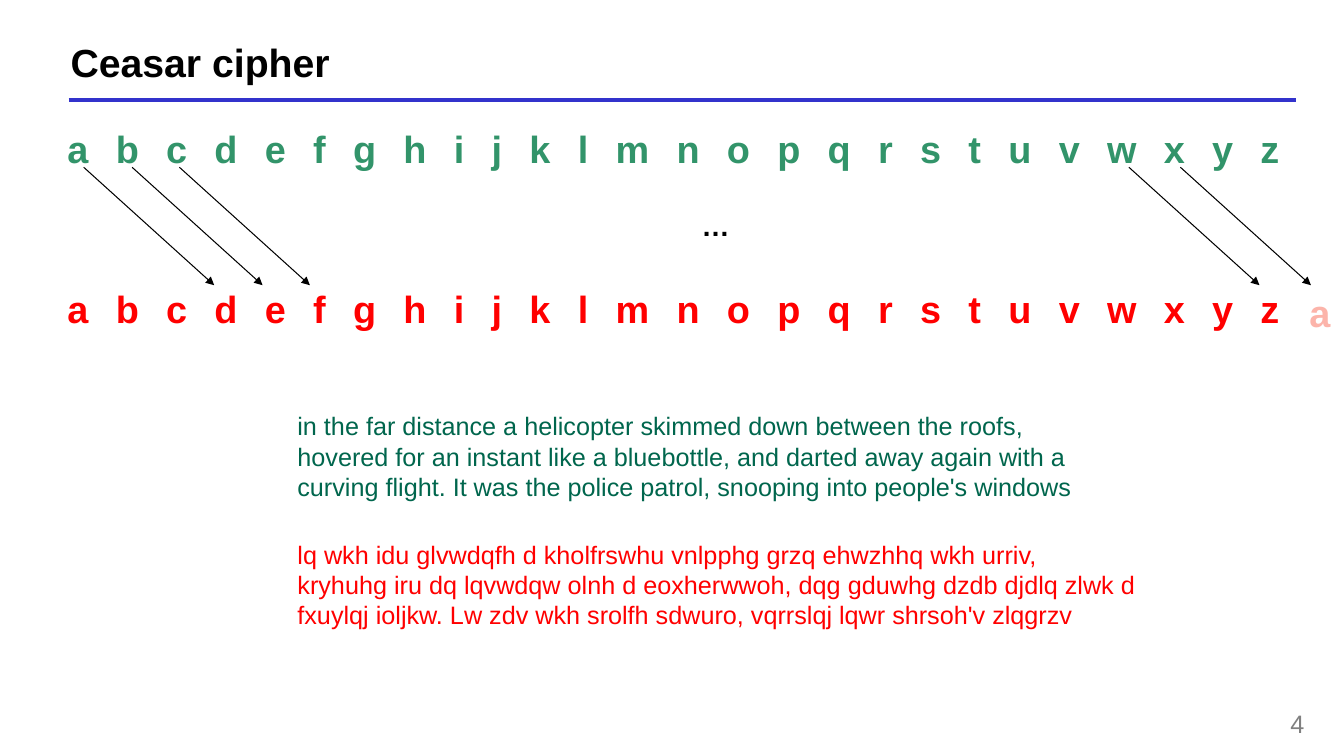
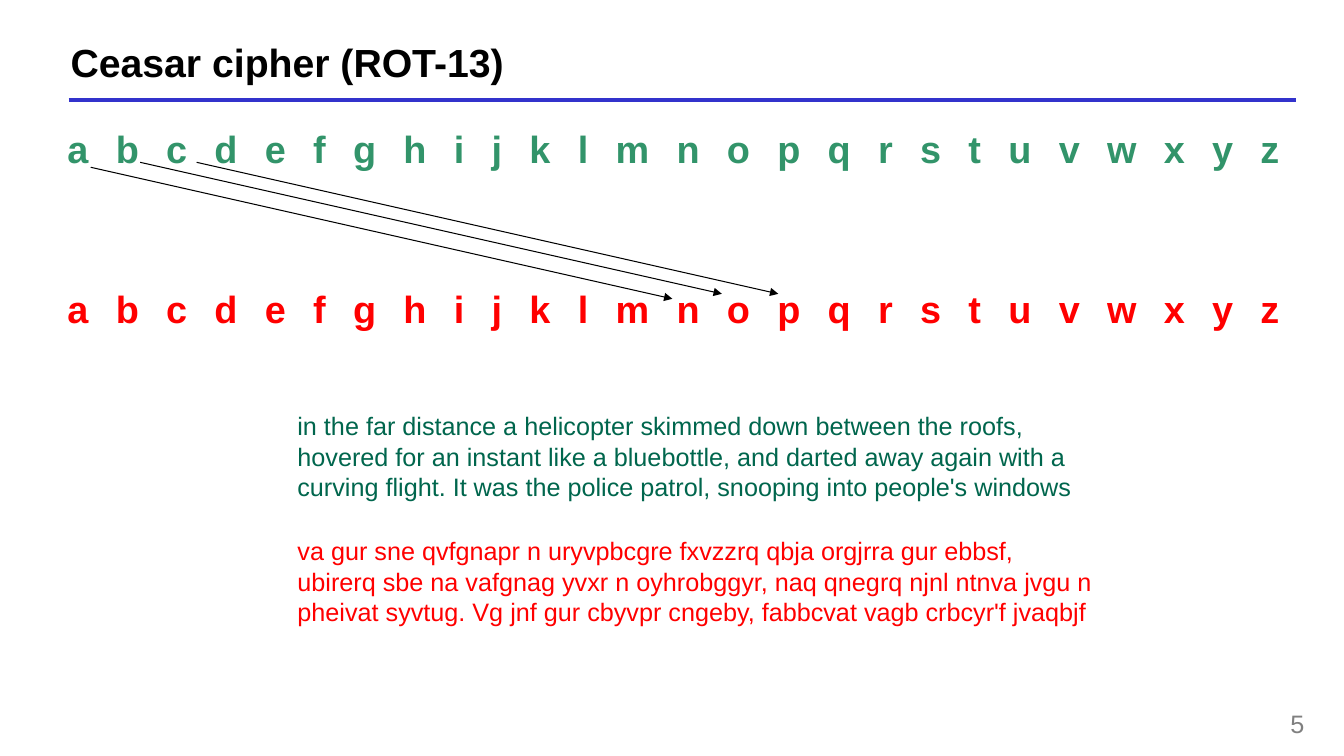
from lxml import etree
from pptx import Presentation
from pptx.dml.color import RGBColor
from pptx.enum.shapes import MSO_CONNECTOR
from pptx.enum.text import MSO_ANCHOR, PP_ALIGN
from pptx.oxml.ns import qn
from pptx.util import Inches, Pt

STRAIGHT = MSO_CONNECTOR.STRAIGHT
TOP, MIDDLE = MSO_ANCHOR.TOP, MSO_ANCHOR.MIDDLE
LEFT, RIGHT = PP_ALIGN.LEFT, PP_ALIGN.RIGHT

BLACK = RGBColor(0x00, 0x00, 0x00)
GRAY = RGBColor(0x80, 0x80, 0x80)
BLUE = RGBColor(0x33, 0x33, 0xCC)
LIGHT_GREEN = RGBColor(0x32, 0x94, 0x6A)
DARK_GREEN = RGBColor(0x00, 0x66, 0x4D)
RED = RGBColor(0xFF, 0x00, 0x00)
PINK = RGBColor(0xFC, 0xB4, 0xAA)

FONT = "Arial"
WIDTH, HEIGHT = Inches(13.33), Inches(7.5)
COLUMN, ROW = WIDTH / 100, HEIGHT / 100

TITLE_BOX = (5.25, 4.8, 91, 6.67)
RULE_BOX = (5.1, 13.2, 91.35, 0)
NUMBER_BOX = (77, 93.73, 20.05, 4)
MAPPING_BOX = (5.02, 16.67, 93, 26.8)
CIPHER_ROW = 21.06

ALPHABET = " ".join("abcdefghijklmnopqrstuvwxyz")
PLAIN_TEXT = (
    "in the far distance a helicopter skimmed down between the roofs, "
    "hovered for an instant like a bluebottle, and darted away again with a "
    "curving flight. It was the police patrol, snooping into people's windows"
)
SHIFT_TEXT = (
    "lq wkh idu glvwdqfh d kholfrswhu vnlpphg grzq ehwzhhq wkh urriv,\n"
    "kryhuhg iru dq lqvwdqw olnh d eoxherwwoh, dqg gduwhg dzdb djdlq zlwk d "
    "fxuylqj ioljkw. Lw zdv wkh srolfh sdwuro, vqrrslqj lqwr shrsoh'v zlqgrzv"
)
ROTATE_TEXT = (
    "va gur sne qvfgnapr n uryvpbcgre fxvzzrq qbja orgjrra gur ebbsf,\n"
    "ubirerq sbe na vafgnag yvxr n oyhrobggyr, naq qnegrq njnl ntnva jvgu n "
    "pheivat syvtug. Vg jnf gur cbyvpr cngeby, fabbcvat vagb crbcyr'f jvaqbjf"
)


def to_lengths(box):
    """Turn a box in grid columns and rows into slide lengths."""
    left, top, width, height = box
    return (round(left * COLUMN), round(top * ROW),
            round(width * COLUMN), round(height * ROW))


def inside(box, left, top, width, height):
    """Return a part placed by its offset from the corner of a box."""
    return box[0] + left, box[1] + top, width, height


def add_text(page, box, text, *, size, color, bold=False, align=LEFT,
             anchor=TOP, spacing=0, wrap=True):
    """Add a text box with one paragraph for each line of text."""
    frame = page.shapes.add_textbox(*to_lengths(box)).text_frame
    frame.margin_left = frame.margin_right = 0
    frame.margin_top = frame.margin_bottom = 0
    frame.word_wrap = wrap
    frame.vertical_anchor = anchor
    frame.text = text
    for para in frame.paragraphs:
        para.alignment = align
        for span in para.runs:
            span.font.name = FONT
            span.font.size = Pt(size)
            span.font.bold = bold
            span.font.color.rgb = color
            if spacing:
                span.font._element.set("spc", str(spacing * 100))


def add_line(page, box, *, color, weight, arrow=False):
    """Draw a line from the top left to the bottom right of a box."""
    left, top, width, height = to_lengths(box)
    line = page.shapes.add_connector(
        STRAIGHT, left, top, left + width, top + height)
    line.line.color.rgb = color
    line.line.width = Pt(weight)
    properties = line._element.spPr
    if arrow:
        outline = properties.find(qn("a:ln"))
        etree.SubElement(outline, qn("a:tailEnd"), type="triangle")
    etree.SubElement(properties, qn("a:effectLst"))


def add_frame(page, title, number):
    """Add the title, the rule below it and the page number."""
    add_line(page, RULE_BOX, color=BLUE, weight=3)
    add_text(page, NUMBER_BOX, str(number), size=18, color=GRAY, align=RIGHT)
    add_text(page, TITLE_BOX, title, size=28, color=BLACK, bold=True,
             anchor=MIDDLE)


def add_mapping(page, box, starts, step):
    """Add the two alphabets and equal arrows from the given starts."""
    for top, color in ((0, LIGHT_GREEN), (CIPHER_ROW, RED)):
        add_text(page, inside(box, 0, top, box[2], 5.75), ALPHABET,
                 size=27, color=color, bold=True, spacing=6)
    for left, top in starts:
        add_line(page, inside(box, left, top, *step),
                 color=BLACK, weight=0.75, arrow=True)


def add_wraparound(page, box):
    """Add the ellipsis between the rows and the letter after z."""
    add_text(page, inside(box, 47.18, 10.93, 5, 4.5), "…",
             size=20, color=BLACK, bold=True)
    add_text(page, inside(box, 92.41, 21.58, 2.5, 5.75), "a",
             size=27, color=PINK, bold=True, spacing=6, wrap=False)


def add_messages(page, box, cipher_text, cipher_top):
    """Add the plain message with its encrypted form below."""
    add_text(page, inside(box, 0, 0, 60.5, 11.5), PLAIN_TEXT,
             size=18, color=DARK_GREEN)
    add_text(page, inside(box, 0, cipher_top, box[2], 11.5), cipher_text,
             size=18, color=RED)


def add_cipher_page(deck, title, number, starts, step, cipher_text, cipher_top):
    """Add a page that shows a letter mapping and an example."""
    page = deck.slides.add_slide(deck.slide_layouts[6])
    add_frame(page, title, number)
    add_mapping(page, MAPPING_BOX, starts, step)
    add_messages(page, (22.13, 54.33, 63.75, 28.5), cipher_text, cipher_top)
    return page


def main():
    """Build and save the deck."""
    deck = Presentation()
    deck.slide_width, deck.slide_height = WIDTH, HEIGHT
    shift_starts = [(left, 5.46) for left in (1.21, 4.81, 8.33, 78.98, 82.81)]
    page = add_cipher_page(deck, "Ceasar cipher", 4, shift_starts,
                           (9.71, 15.6), SHIFT_TEXT, 16.94)
    add_wraparound(page, MAPPING_BOX)
    rotate_starts = [(1.73, 5.46), (5.41, 4.8), (9.61, 4.8)]
    add_cipher_page(deck, "Ceasar cipher (ROT-13)", 5, rotate_starts,
                    (43.28, 17.4), ROTATE_TEXT, 16.54)
    deck.save("out.pptx")


if __name__ == "__main__":
    main()
